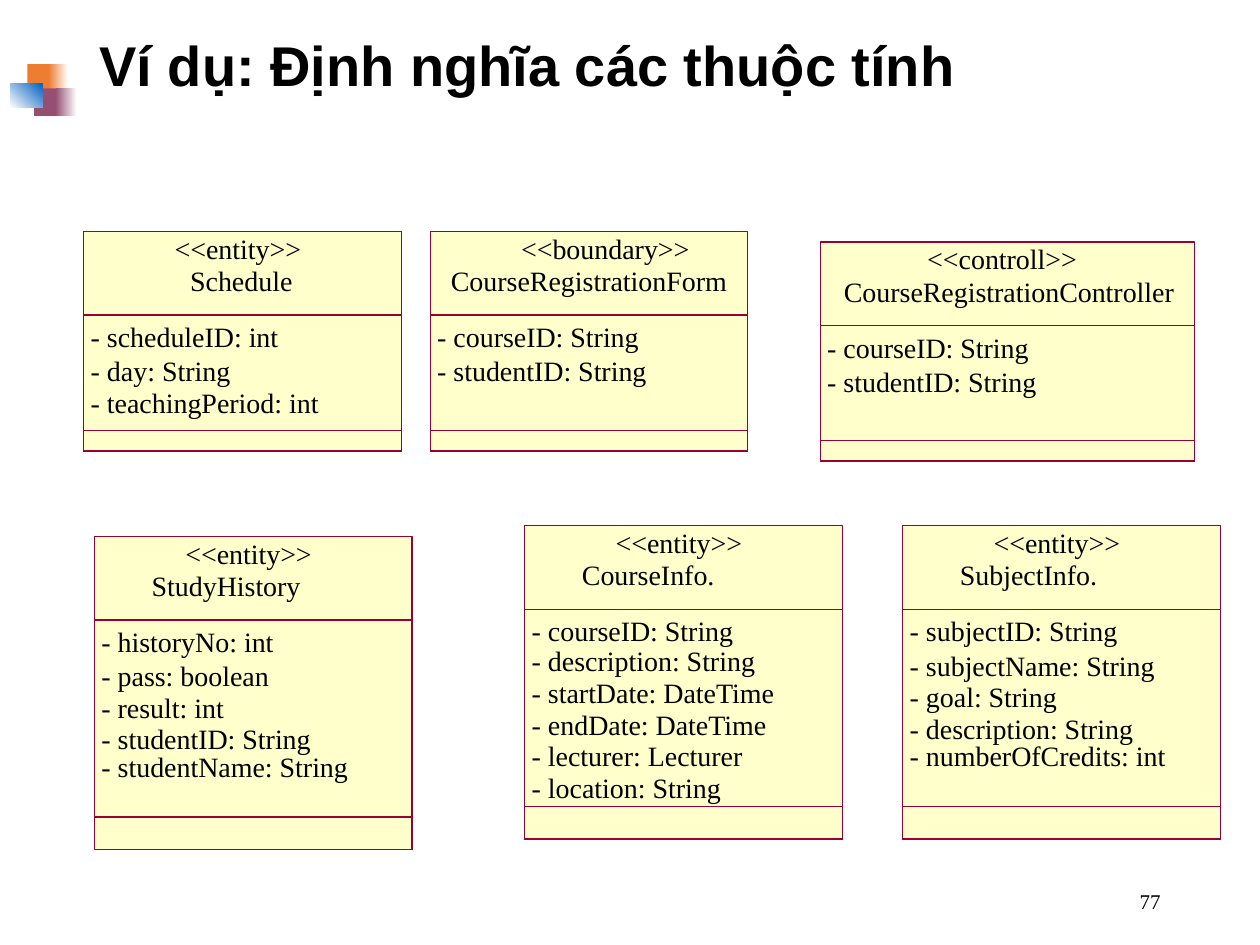
from collections import namedtuple

from pptx import Presentation
from pptx.dml.color import RGBColor
from pptx.enum.shapes import MSO_SHAPE as Preset
from pptx.enum.text import MSO_ANCHOR as Anchor, MSO_AUTO_SIZE as AutoSize, PP_ALIGN as Align
from pptx.util import Inches, Pt

COLORS = {
    "text": "000000",
    "class": "FFFFCC",
    "border": "990033",
    "orange": "ED7D31",
    "plum": "954F72",
    "blue": "0563C1",
    "white": "FFFFFF",
}
WIDTH, HEIGHT = Inches(10), Inches(7.5)
COLUMN, ROW = WIDTH / 100, HEIGHT / 75
LINE_ROWS = 2.7
LOOSE_ROWS = (0.35, 3.1, 5.6, 8.1, 10.3)
EVEN_ROWS = (0.35, 2.75, 5.25, 7.8, 10.3, 12.8)

Box = namedtuple("Box", "left top width height")
ClassSpec = namedtuple("ClassSpec", "box footer stereotype name name_share rows attributes")

CLASSES = [
    ClassSpec(Box(41.65, 41.7, 25.2, 24.9), 2.6, "entity", "CourseInfo.", 0.18, EVEN_ROWS,
              ["courseID: String", "description: String", "startDate: DateTime",
               "endDate: DateTime", "lecturer: Lecturer", "location: String"]),
    ClassSpec(Box(71.65, 41.7, 25.2, 24.9), 2.6, "entity", "SubjectInfo.", 0.18, LOOSE_ROWS,
              ["subjectID: String", "subjectName: String", "goal: String",
               "description: String", "numberOfCredits: int"]),
    ClassSpec(Box(7.5, 42.55, 25.2, 24.9), 2.6, "entity", "StudyHistory", 0.18, LOOSE_ROWS,
              ["historyNo: int", "pass: boolean", "result: int",
               "studentID: String", "studentName: String"]),
    ClassSpec(Box(34.15, 18.35, 25.2, 17.45), 1.65, "boundary", "CourseRegistrationForm",
              0.065, LOOSE_ROWS, ["courseID: String", "studentID: String"]),
    ClassSpec(Box(6.65, 18.35, 25.2, 17.45), 1.65, "entity", "Schedule",
              0.335, LOOSE_ROWS, ["scheduleID: int", "day: String", "teachingPeriod: int"]),
    ClassSpec(Box(65.1, 19.2, 29.7, 17.4), 1.65, "controll", "CourseRegistrationController",
              0.063, LOOSE_ROWS, ["courseID: String", "studentID: String"]),
]


def color(name):
    return RGBColor.from_string(COLORS[name])


def place(box):
    return (round(box.left * COLUMN), round(box.top * ROW),
            round(box.width * COLUMN), round(box.height * ROW))


def write(frame, text, font="Times New Roman", size=16, bold=False, align=None, spacing=None):
    para = frame.paragraphs[0]
    para.alignment = align
    para.line_spacing = spacing
    span = para.add_run()
    span.text = text
    span.font.name = font
    span.font.size = Pt(size)
    span.font.bold = bold
    span.font.color.rgb = color("text")


def add_rectangle(parent, box, fill=None, border=None, fade=None, angle=0):
    shape = parent.shapes.add_shape(Preset.RECTANGLE, *place(box))
    shape.shadow.inherit = False
    if fade:
        shape.fill.gradient()
        shape.fill.gradient_angle = angle
        for stop, name in zip(shape.fill.gradient_stops, fade):
            stop.color.rgb = color(name)
    elif fill:
        shape.fill.solid()
        shape.fill.fore_color.rgb = color(fill)
    else:
        shape.fill.background()
    if border:
        shape.line.color.rgb = color(border)
        shape.line.width = Pt(0)
    else:
        shape.line.fill.background()


def add_label(parent, box, text):
    frame = parent.shapes.add_textbox(*place(box)).text_frame
    frame.margin_left = frame.margin_right = frame.margin_top = frame.margin_bottom = 0
    frame.word_wrap = False
    frame.auto_size = AutoSize.SHAPE_TO_FIT_TEXT
    write(frame, text)


def add_class(page, spec):
    group = page.shapes.add_group_shape()
    left, top, width, height = spec.box
    body_top = top + 6.65
    bottom = top + height

    add_rectangle(group, spec.box, fill="class", border="border")
    for edge in (body_top, bottom - spec.footer):
        add_rectangle(group, Box(left, edge, width, bottom - edge), border="border")

    add_label(group, Box(left + 0.286 * width, top, 0.6 * width, LINE_ROWS),
              f"<<{spec.stereotype}>>")
    add_label(group, Box(left + spec.name_share * width, top + 2.55,
                         (1 - spec.name_share) * width, LINE_ROWS), spec.name)
    for row, attribute in zip(spec.rows, spec.attributes):
        add_label(group, Box(left + 0.55, body_top + row, 0.95 * width, LINE_ROWS),
                  f"- {attribute}")


def add_emblem(page, box):
    group = page.shapes.add_group_shape()

    def part(left, top, width, height):
        return Box(box.left + left * box.width, box.top + top * box.height,
                   width * box.width, height * box.height)

    add_rectangle(group, part(0.26, 0, 0.38, 0.53), fill="orange")
    add_rectangle(group, part(0.58, 0, 0.29, 0.53), fade=("orange", "white"))
    add_rectangle(group, part(0.36, 0.47, 0.36, 0.53), fill="plum")
    add_rectangle(group, part(0.68, 0.47, 0.32, 0.53), fade=("plum", "white"))
    add_rectangle(group, part(0, 0.37, 0.49, 0.46), fade=("white", "blue"), angle=45)


def add_title(page, box, text):
    title = page.shapes.title
    title.left, title.top, title.width, title.height = place(box)
    title.text_frame.vertical_anchor = Anchor.MIDDLE
    write(title.text_frame, text, font="Arial", size=32, bold=True, align=Align.LEFT, spacing=0.9)


def add_page_number(page, box, text):
    frame = page.shapes.add_textbox(*place(box)).text_frame
    frame.word_wrap = True
    frame.vertical_anchor = Anchor.MIDDLE
    write(frame, text, size=12, align=Align.RIGHT)


def main():
    deck = Presentation()
    deck.slide_width, deck.slide_height = WIDTH, HEIGHT
    page = deck.slides.add_slide(deck.slide_layouts.get_by_name("Title Only"))
    add_emblem(page, Box(0.8, 5.1, 5.3, 4.1))
    add_title(page, Box(6.9, 1.5, 86.2, 7.8), "Ví dụ: Định nghĩa các thuộc tính")
    add_page_number(page, Box(70.6, 69.5, 22.5, 4), "77")
    for spec in CLASSES:
        add_class(page, spec)
    deck.save("out.pptx")


if __name__ == "__main__":
    main()
